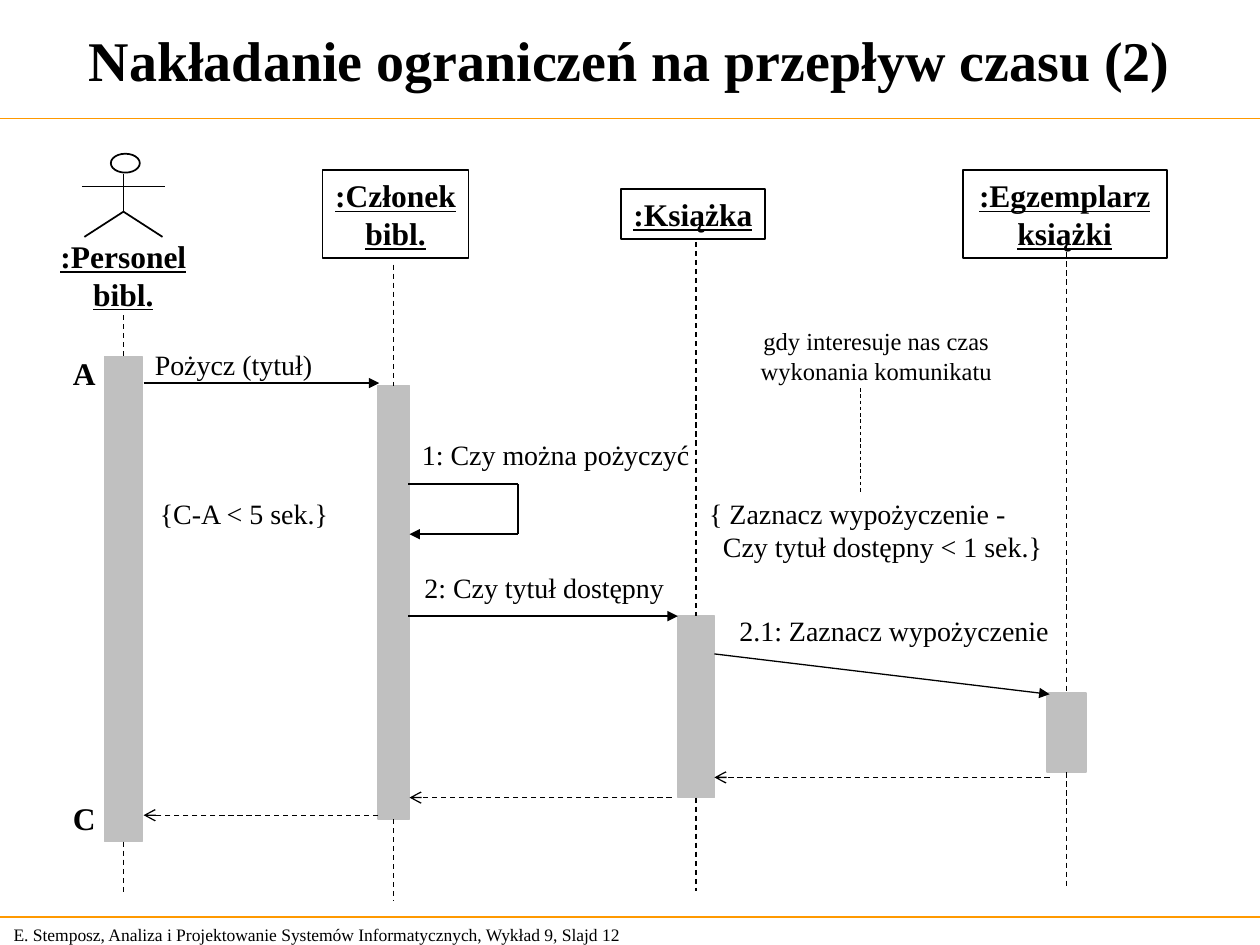
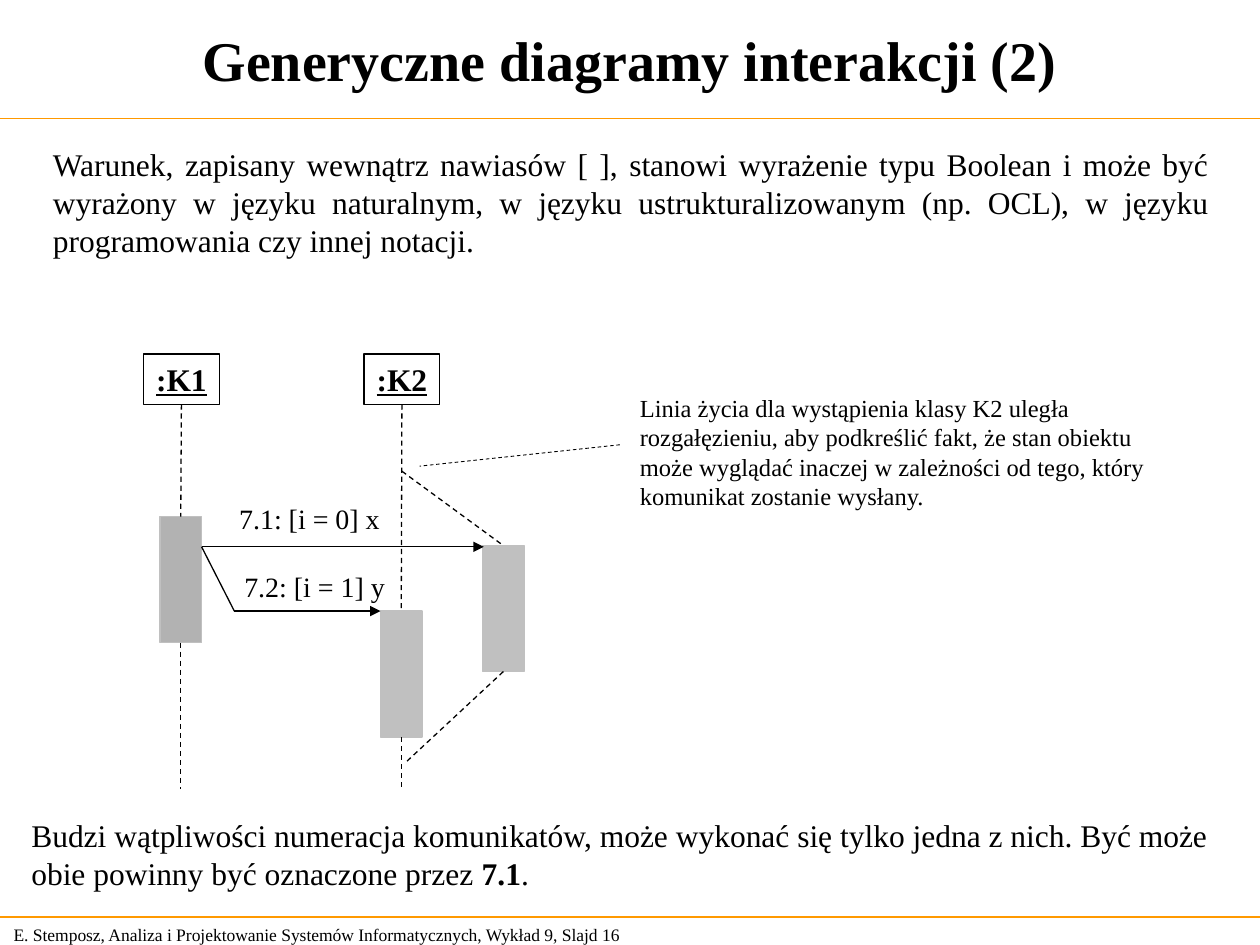
from dataclasses import dataclass
from typing import Any

from lxml import etree
from pptx import Presentation
from pptx.dml.color import RGBColor
from pptx.enum.dml import MSO_LINE
from pptx.enum.shapes import MSO_CONNECTOR, MSO_SHAPE
from pptx.enum.text import MSO_ANCHOR, MSO_AUTO_SIZE, PP_ALIGN
from pptx.oxml.ns import qn
from pptx.util import Inches, Pt

COLORS = {"ink": "000000", "rule": "FF9900", "bar": "C0C0C0", "dark_bar": "B2B2B2"}
FONT = "Times New Roman"
FOOTER = "E. Stemposz, Analiza i Projektowanie Systemów Informatycznych, Wykład 9, Slajd {}"
LEFT, CENTER, JUSTIFY = PP_ALIGN.LEFT, PP_ALIGN.CENTER, PP_ALIGN.JUSTIFY
TOP, MIDDLE = MSO_ANCHOR.TOP, MSO_ANCHOR.MIDDLE
FIXED = MSO_AUTO_SIZE.NONE
RECT, OVAL = MSO_SHAPE.RECTANGLE, MSO_SHAPE.OVAL
STRAIGHT, DASH = MSO_CONNECTOR.STRAIGHT, MSO_LINE.DASH
SITE_TOP, SITE_BOTTOM = 0, 2
TITLE_ONLY, TITLE_AND_BODY = 5, 1


def rgb(name):
    return RGBColor.from_string(COLORS[name])


def remove_bullet(p):
    p_pr = p._p.get_or_add_pPr()
    p_pr.set("marL", "0")
    p_pr.set("indent", "0")
    etree.SubElement(p_pr, qn("a:buNone"))


def write(sp, lines, size, bold=False, underline=False, align=LEFT,
          anchor=TOP, plain=False):
    tf = sp.text_frame
    tf.text = "\n".join(lines)
    tf.word_wrap = True
    tf.auto_size = FIXED
    tf.vertical_anchor = anchor
    if align == CENTER:
        tf.margin_left = tf.margin_right = Inches(0.03)
    elif align == LEFT:
        tf.margin_right = 0
    for p in tf.paragraphs:
        if plain:
            remove_bullet(p)
        p.alignment = align
        p.space_before = Pt(0)
        p.font.name = FONT
        p.font.size = Pt(size)
        p.font.bold = bold
        p.font.underline = underline
        p.font.color.rgb = rgb("ink")
    return sp


def place(sp, left, top, width, height):
    sp.left, sp.top = Inches(left), Inches(top)
    sp.width, sp.height = Inches(width), Inches(height)


@dataclass
class Area:
    shapes: Any
    left: float = 0
    top: float = 0

    def at(self, x, y):
        return Inches(self.left + x), Inches(self.top + y)

    def label(self, box, *lines, size=16, **style):
        x, y, w, h = box
        sp = self.shapes.add_textbox(*self.at(x, y), Inches(w), Inches(h))
        return write(sp, lines, size, **style)

    def shape(self, box, kind=RECT, fill=None, line="ink", weight=1):
        x, y, w, h = box
        sp = self.shapes.add_shape(kind, *self.at(x, y), Inches(w), Inches(h))
        sp.shadow.inherit = False
        if fill:
            sp.fill.solid()
            sp.fill.fore_color.rgb = rgb(fill)
        else:
            sp.fill.background()
        sp.line.color.rgb = rgb(line)
        sp.line.width = Pt(weight)
        return sp

    def head(self, box, *lines, weight=1):
        sp = self.shape(box, weight=weight)
        return write(sp, lines, 18, True, True, CENTER, MIDDLE)

    def bar(self, box, fill="bar", weight=1):
        return self.shape(box, fill=fill, line="bar", weight=weight)

    def line(self, start, end, weight=0.75, color="ink", dash=False, arrow=None):
        s = self.shapes.add_connector(STRAIGHT, *self.at(*start), *self.at(*end))
        s.line.color.rgb = rgb(color)
        s.line.width = Pt(weight)
        if dash:
            s.line.dash_style = DASH
        props = s._element.spPr
        if arrow:
            etree.SubElement(props.find(qn("a:ln")), qn("a:tailEnd"), type=arrow)
        etree.SubElement(props, qn("a:effectLst"))
        return s

    def lifeline(self, box, top, bottom, head=None, fill="bar", weight=1):
        x, y, w, h = box
        sp = self.bar(box, fill, weight)
        middle = x + w / 2
        upper = self.line((middle, top), (middle, y), dash=True)
        upper.end_connect(sp, SITE_TOP)
        if head:
            upper.begin_connect(head, SITE_BOTTOM)
        lower = self.line((middle, y + h), (middle, bottom), dash=True)
        lower.begin_connect(sp, SITE_BOTTOM)
        return sp


def add_framed_slide(prs, layout, title, number):
    slide = prs.slides.add_slide(prs.slide_layouts[layout])
    area = Area(slide.shapes)
    for y in (0.94, 7.28):
        area.line((0, y), (10, y), 1, "rule")
    area.label((0.01, 7.28, 5.24, 0.27), FOOTER.format(number),
               size=10, anchor=MIDDLE)
    place(slide.shapes.title, 0.04, 0.04, 9.92, 0.85)
    write(slide.shapes.title, [title], 32, bold=True, align=CENTER, anchor=MIDDLE)
    return slide


def draw_actor(shapes, left, top):
    actor = Area(shapes.add_group_shape().shapes, left, top)
    actor.shape((0.23, 0, 0.23, 0.15), OVAL)
    hip = (0.33, 0.46)
    for start, end in [((0.33, 0.16), hip), ((0, 0.26), (0.66, 0.26)),
                       (hip, (0.64, 0.66)), (hip, (0.02, 0.66))]:
        actor.line(start, end, weight=1)


def draw_timed_sequence(shapes, left, top):
    area = Area(shapes, left, top)
    draw_actor(shapes, left + 0.65, top + 0.22)
    area.label((0.38, 0.83, 1.2, 0.7), ":Personel", "bibl.", size=18,
               bold=True, underline=True, align=CENTER)
    area.head((2.56, 0.35, 1.16, 0.7), ":Członek", "bibl.")
    area.head((4.93, 0.5, 1.14, 0.4), ":Książka")
    area.head((7.64, 0.35, 1.62, 0.7), ":Egzemplarz", "książki")

    for bar, start, end in [
        ((0.83, 1.83, 0.3, 3.85), 1.5, 6.1),
        ((3, 2.06, 0.25, 3.44), 1.1, 6.15),
        ((5.38, 3.89, 0.29, 1.44), 0.92, 6.07),
        ((8.31, 4.5, 0.31, 0.63), 0.86, 6.06),
    ]:
        area.lifeline(bar, start, end)

    for start, end, weight in [
        ((1.14, 2.04), (3.01, 2.04), 1),
        ((4.11, 3.24), (3.25, 3.24), 1),
        ((3.24, 3.89), (5.38, 3.89), 1),
        ((5.67, 4.19), (8.33, 4.51), 0.75),
    ]:
        area.line(start, end, weight, arrow="triangle")
    area.line((3.24, 2.84), (4.11, 2.84), 1)
    area.line((4.11, 2.84), (4.11, 3.24), 1)

    for x_from, x_to, y in [(3, 1.14, 5.47), (5.33, 3.25, 5.33), (8.33, 5.67, 5.17)]:
        area.line((x_from, y), (x_to, y), dash=True, arrow="arrow")

    for box, text in [
        ((1.13, 1.71, 1.45, 0.37), "Pożycz (tytuł)"),
        ((3.25, 2.42, 2.32, 0.37), "1: Czy można pożyczyć"),
        ((3.27, 3.48, 2.1, 0.37), "2: Czy tytuł dostępny"),
        ((5.77, 3.82, 2.65, 0.37), "2.1: Zaznacz wypożyczenie"),
        ((1.17, 2.89, 1.55, 0.37), "{C-A < 5 sek.}"),
    ]:
        area.label(box, text)
    for y, mark in [(1.76, "A"), (5.29, "C")]:
        area.label((0.48, y, 0.38, 0.4), mark, size=18, bold=True)

    limit = area.label((5.53, 2.89, 2.9, 0.64), "{ Zaznacz wypożyczenie -",
                       "Czy tytuł dostępny < 1 sek.}")
    limit.text_frame.paragraphs[1]._p.get_or_add_pPr().set("marL", str(Inches(0.11)))
    area.label((5.94, 1.54, 2.03, 0.57), "gdy interesuje nas czas",
               "wykonania komunikatu", size=14, align=CENTER)
    area.line((6.83, 2.08), (6.83, 2.92), 0.5, dash=True)


def draw_branching_sequence(shapes, left, top):
    area = Area(shapes, left, top)
    k1, k2 = [area.head((x, 0.01, 0.6, 0.4), name, weight=0.75)
              for x, name in [(0.14, ":K1"), (1.89, ":K2")]]
    area.lifeline((0.27, 1.3, 0.33, 1), 0.41, 3.46, k1, "dark_bar", 0.75)
    area.lifeline((2.02, 2.05, 0.33, 1), 0.41, 3.45, k2, weight=0.75)
    branch = area.bar((2.83, 1.53, 0.33, 1), weight=0.75)
    fork = area.line((2.19, 0.94), (3, 1.53), dash=True)
    fork.end_connect(branch, SITE_TOP)
    join = area.line((3, 2.53), (2.21, 3.26), dash=True)
    join.begin_connect(branch, SITE_BOTTOM)

    area.line((0.6, 1.54), (2.84, 1.54), arrow="triangle")
    area.line((0.6, 1.54), (0.86, 2.05))
    area.line((0.86, 2.05), (2.02, 2.05), arrow="triangle")
    area.label((0.8, 1.13, 1.31, 0.37), "7.1: [i = 0] x")
    area.label((0.84, 1.67, 1.31, 0.37), "7.2: [i = 1] y")
    area.label((3.98, 0.27, 4.2, 1.04),
               "Linia życia dla wystąpienia klasy K2 uległa",
               "rozgałęzieniu, aby podkreślić fakt, że stan obiektu",
               "może wyglądać inaczej w zależności od tego, który",
               "komunikat zostanie wysłany.", size=14)
    area.line((3.92, 0.73), (2.33, 0.9), 0.5, dash=True)


def fill_condition(body, left, top):
    place(body, left, top, 9.38, 1)
    text = ("Warunek, zapisany wewnątrz nawiasów [ ], stanowi wyrażenie typu Boolean "
            "i może być wyrażony w języku naturalnym, w języku ustrukturalizowanym "
            "(np. OCL), w języku programowania czy innej notacji.")
    write(body, [text], 18, align=JUSTIFY, plain=True)


def add_numbering_remark(shapes, left, top):
    remark = Area(shapes, left, top).label(
        (0, 0, 9.62, 0.7),
        "Budzi wątpliwości numeracja komunikatów, może wykonać się tylko jedna z nich. Być może",
        "obie powinny być oznaczone przez ", size=18)
    p = remark.text_frame.paragraphs[1]
    for text, bold in [("7.1", True), (".", False)]:
        r = p.add_run()
        r.text = text
        r.font.bold = bold


def main():
    prs = Presentation()
    prs.slide_width, prs.slide_height = Inches(10), Inches(7.5)

    timed = add_framed_slide(prs, TITLE_ONLY,
                             "Nakładanie ograniczeń na przepływ czasu (2)", 12)
    draw_timed_sequence(timed.shapes, 0, 1)

    generic = add_framed_slide(prs, TITLE_AND_BODY,
                               "Generyczne diagramy interakcji (2)", 16)
    fill_condition(generic.placeholders[1], 0.32, 1.1)
    draw_branching_sequence(generic.shapes, 1, 2.8)
    add_numbering_remark(generic.shapes, 0.15, 6.43)

    prs.save("out.pptx")


if __name__ == "__main__":
    main()
